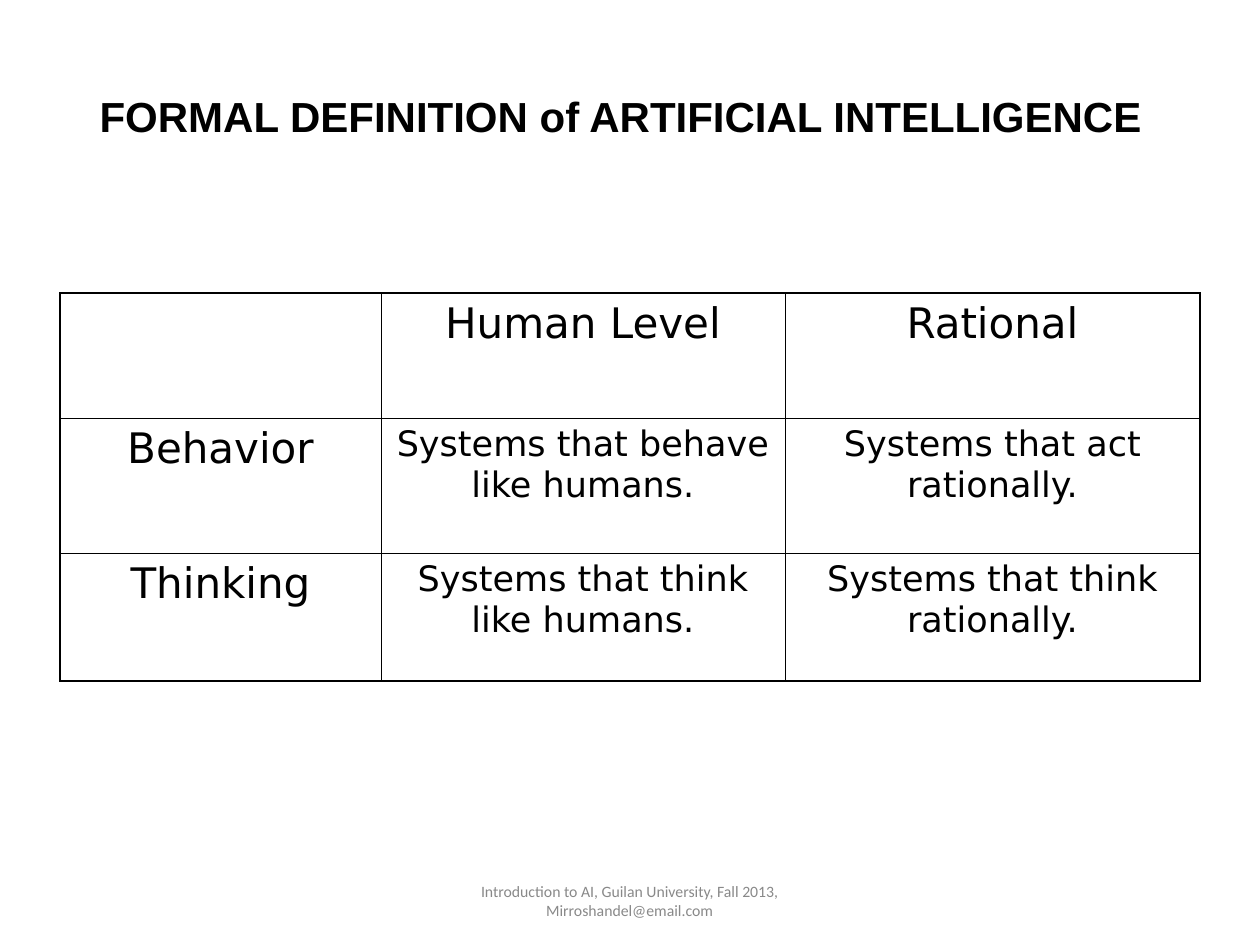
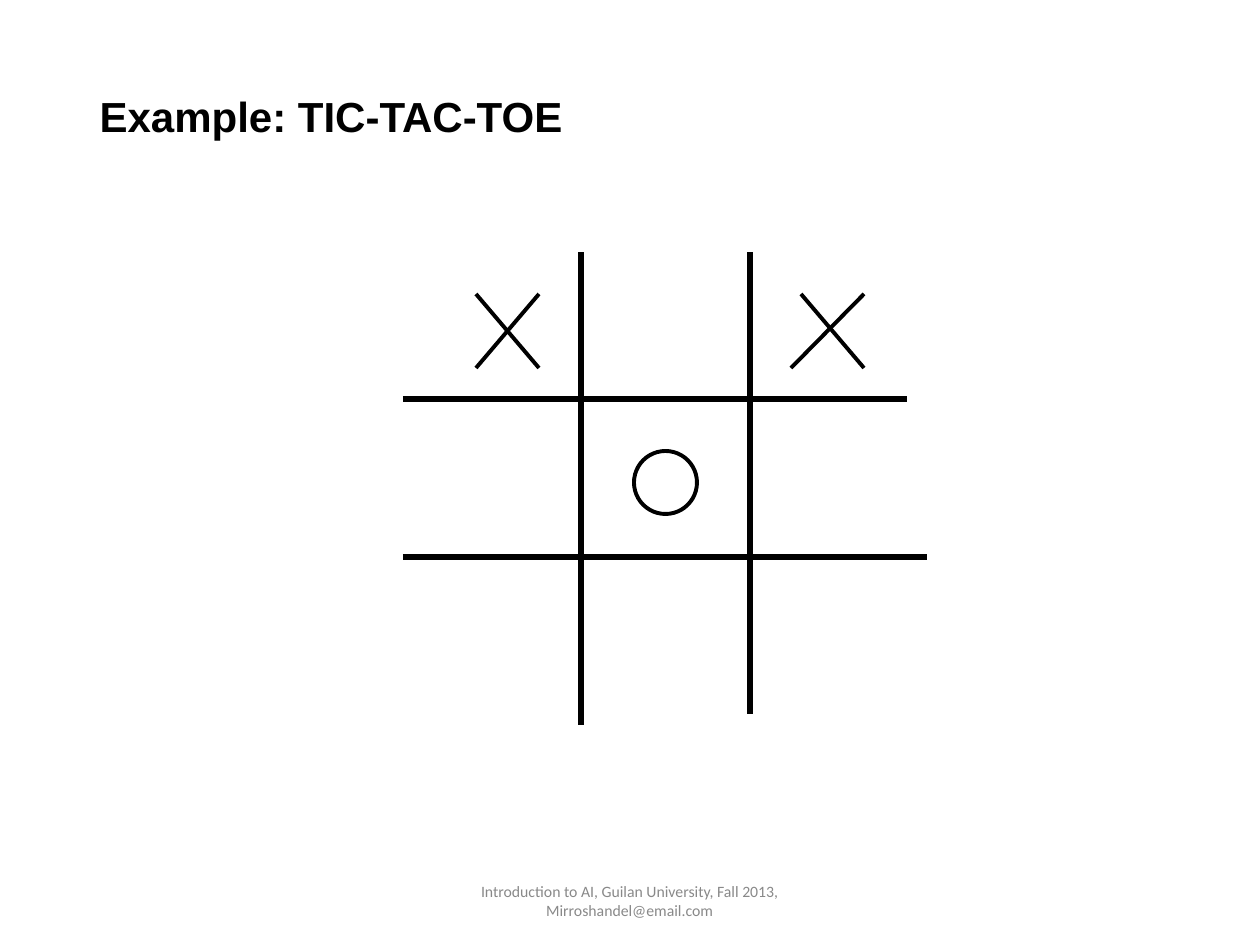
from pptx import Presentation
from pptx import util as u
from pptx.dml.color import RGBColor
from pptx.enum import shapes, text
from pptx.oxml.ns import qn
from lxml import etree

COLORS = {"ink": "000000", "footer": "898989"}
FONTS = {"title": "Arial", "footer": "Calibri", "table": "DejaVu Sans"}
TITLE_BOX = (87, 50, 1087, 183)
FOOTER_BOX = (417, 876, 425, 50)
FOOTER = "Introduction to AI, Guilan University, Fall 2013, Mirroshandel@email.com"
OUTER, INNER = 1.08, 0.45


def px(n):
    return u.Emu(round(n * 914400 / 126))


def style(p, font, size, color, align, bold=False):
    p.alignment = align
    p.font.name = FONTS[font]
    p.font.size = u.Pt(size)
    p.font.bold = bold
    p.font.color.rgb = RGBColor.from_string(COLORS[color])


def set_line(line, width):
    line.color.rgb = RGBColor.from_string(COLORS["ink"])
    line.width = u.Pt(width)


def add_title(s, title):
    sp = s.shapes.title
    sp.left, sp.top, sp.width, sp.height = map(px, TITLE_BOX)
    tf = sp.text_frame
    tf.text = title
    tf.word_wrap = True
    tf.auto_size = text.MSO_AUTO_SIZE.NONE
    tf.vertical_anchor = text.MSO_ANCHOR.MIDDLE
    tf.margin_bottom = px(52)
    p = tf.paragraphs[0]
    p.line_spacing = 0.9
    style(p, "title", 24, "ink", text.PP_ALIGN.LEFT, bold=True)


def add_footer(s):
    tf = s.shapes.add_textbox(*map(px, FOOTER_BOX)).text_frame
    tf.text = FOOTER
    tf.word_wrap = True
    tf.vertical_anchor = text.MSO_ANCHOR.MIDDLE
    style(tf.paragraphs[0], "footer", 9, "footer", text.PP_ALIGN.CENTER)


def add_slide(prs, title):
    s = prs.slides.add_slide(prs.slide_layouts[5])
    add_title(s, title)
    add_footer(s)
    return s


def set_border(cell, side, width):
    ln = etree.SubElement(cell._tc.get_or_add_tcPr(), qn(f"a:ln{side}"), w=str(u.Pt(width)))
    fill = etree.SubElement(ln, qn("a:solidFill"))
    etree.SubElement(fill, qn("a:srgbClr"), val=COLORS["ink"])


def add_definitions(s, box, cols, rows, content):
    table = s.shapes.add_table(len(rows), len(cols), *map(px, box)).table
    table.first_row = table.horz_banding = False
    for column, width in zip(table.columns, cols):
        column.width = px(width)
    for i, (height, labels) in enumerate(zip(rows, content)):
        table.rows[i].height = px(height)
        for j, label in enumerate(labels):
            cell = table.cell(i, j)
            edges = {"L": j == 0, "R": j == len(cols) - 1,
                     "T": i == 0, "B": i == len(rows) - 1}
            for side, outer in edges.items():
                set_border(cell, side, OUTER if outer else INNER)
            cell.fill.background()
            if label:
                cell.text = label
                size = 20 if i and j else 24
                style(cell.text_frame.paragraphs[0], "table", size, "ink",
                      text.PP_ALIGN.CENTER)


def add_line(s, x1, y1, x2, y2, width):
    c = s.shapes.add_connector(shapes.MSO_CONNECTOR.STRAIGHT, *map(px, (x1, y1, x2, y2)))
    set_line(c.line, width)
    etree.SubElement(c._element.spPr, qn("a:effectLst"))


def add_cross(s, left, top, width, height, slant=0):
    bottom, right = top + height, left + width
    add_line(s, left - slant, bottom, right, top, 2.25)
    add_line(s, left, top, right, bottom, 2.25)


def add_nought(s, left, top, size):
    sp = s.shapes.add_shape(shapes.MSO_SHAPE.OVAL, *map(px, (left, top, size, size)))
    sp.shadow.inherit = False
    sp.fill.background()
    set_line(sp.line, 2.25)


def add_board(s, left, top):
    for dx, length in ((178, 473), (347, 462)):
        add_line(s, left + dx, top, left + dx, top + length, 3)
    for dy, length in ((147, 504), (305, 524)):
        add_line(s, left, top + dy, left + length, top + dy, 3)
    add_cross(s, left + 73, top + 42, 63, 74)
    add_nought(s, left + 231, top + 199, 63)
    add_cross(s, left + 398, top + 42, 63, 74, slant=10)


def main():
    prs = Presentation()
    prs.slide_width, prs.slide_height = px(1260), px(945)

    s = add_slide(prs, "FORMAL DEFINITION of ARTIFICIAL INTELLIGENCE")
    add_definitions(s, (60, 293, 1140, 388), (321, 404, 415), (125, 135, 128), (
        ("", "Human Level", "Rational"),
        ("Behavior", "Systems that behave like humans.", "Systems that act rationally."),
        ("Thinking", "Systems that think like humans.", "Systems that think rationally."),
    ))

    s = add_slide(prs, "Example: TIC-TAC-TOE")
    add_board(s, 403, 252)

    prs.save("out.pptx")


if __name__ == "__main__":
    main()
